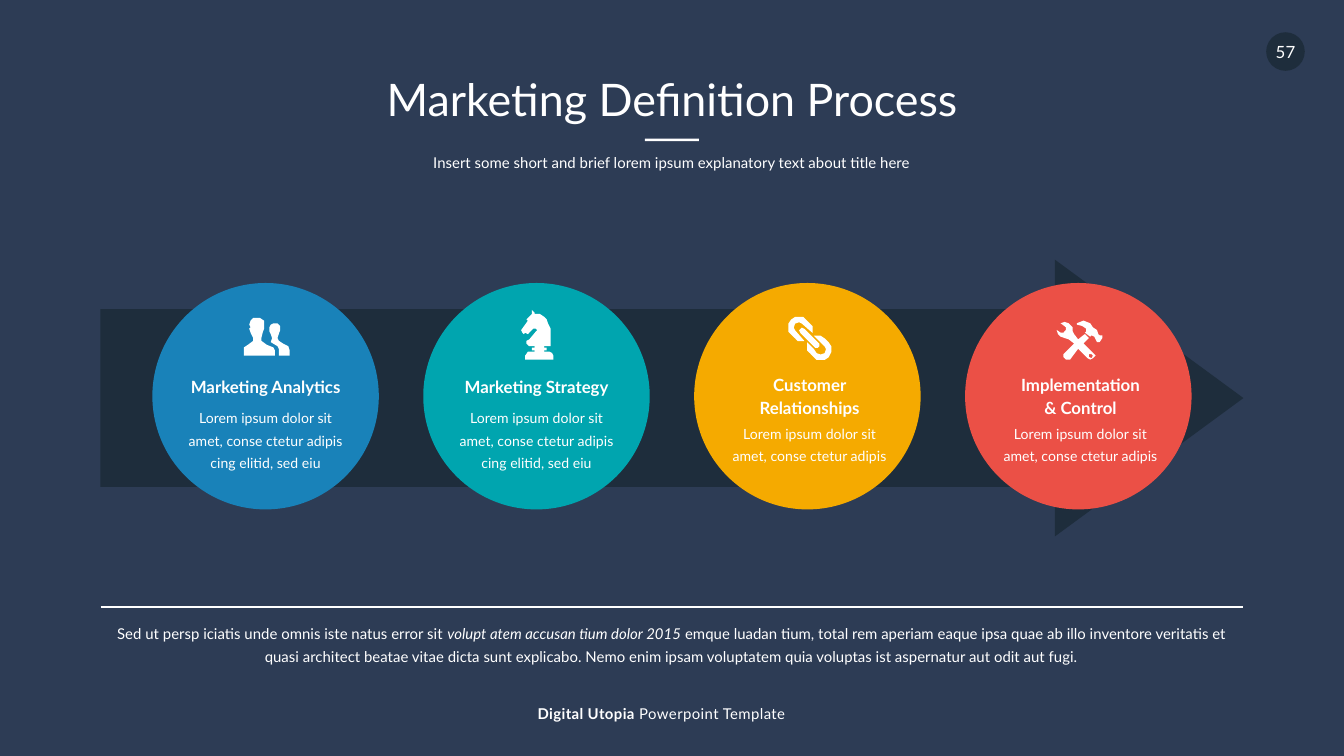
from lxml import etree
from pptx import Presentation
from pptx import util as u
from pptx.dml.color import RGBColor
from pptx.enum import shapes, text
from pptx.oxml.ns import qn

NAVY = RGBColor(0x2D, 0x3C, 0x55)
DARK = RGBColor(0x1E, 0x2D, 0x3C)
WHITE = RGBColor(0xFF, 0xFF, 0xFF)
BLUE = RGBColor(0x19, 0x82, 0xB9)
TEAL = RGBColor(0x00, 0xA5, 0xAF)
AMBER = RGBColor(0xF5, 0xAA, 0x00)
RED = RGBColor(0xEB, 0x50, 0x46)
FONT = "Lato"
UNIT = u.Cm(2.54) / 100  # icon grid step
KIND = shapes.MSO_SHAPE
LEFT, CENTER = text.PP_ALIGN.LEFT, text.PP_ALIGN.CENTER
TOP, MIDDLE = text.MSO_ANCHOR.TOP, text.MSO_ANCHOR.MIDDLE

# Outlines on the icon grid, one list of points for each contour
PEOPLE = [
    [(23, 28), (0, 28), (0, 22), (3, 20), (7, 17), (7, 15), (5, 11), (4, 8),
     (5, 7), (4, 5), (5, 2), (7, 0), (12, 0), (15, 2), (15, 5), (15, 8),
     (14, 11), (13, 15), (13, 17), (17, 20), (22, 22), (23, 24)],
    [(26, 28), (26, 23), (25, 21), (20, 18), (21, 15), (20, 12), (19, 10),
     (19, 7), (20, 5), (22, 4), (25, 4), (27, 6), (27, 9), (26, 12),
     (25, 15), (26, 17), (29, 19), (33, 21), (34, 24), (34, 28)],
]
KNIGHT = [
    [(0, 15), (5, 8), (4, 7), (7, 4), (8, 3), (8, 0), (10, 2), (10, 3),
     (14, 3), (17, 5), (19, 7), (20, 10), (22, 14), (22, 27), (17, 27),
     (17, 28), (19, 28), (19, 30), (17, 30), (17, 31), (21, 31), (23, 32),
     (24, 34), (24, 37), (3, 37), (3, 34), (5, 31), (10, 31), (10, 30),
     (8, 30), (8, 28), (10, 28), (10, 27), (6, 27), (4, 25), (4, 23),
     (6, 22), (11, 16), (12, 15), (11, 14), (9, 14), (5, 18), (3, 17),
     (2, 18), (1, 17)],
]
CHAIN = [
    [(0, 8), (0, 5), (2, 2), (5, 0), (8, 0), (11, 0), (13, 2), (16, 5),
     (18, 7), (18, 12), (10, 5), (8, 4), (5, 5), (4, 8), (5, 10), (12, 18),
     (10, 18), (7, 18), (5, 16), (2, 13), (0, 11)],
    [(8, 10), (9, 9), (10, 8), (12, 9), (23, 20), (23, 22), (22, 23),
     (20, 23), (9, 12)],
    [(14, 22), (14, 19), (19, 24), (21, 27), (24, 28), (27, 27), (28, 24),
     (27, 22), (19, 14), (21, 14), (24, 14), (27, 16), (30, 19), (32, 22),
     (32, 26), (30, 30), (27, 32), (24, 32), (21, 32), (19, 30), (16, 27),
     (14, 25)],
]
TOOLS = [
    [(27, 24), (29, 26), (27, 28), (25, 29), (23, 28), (16, 21), (10, 29),
     (7, 29), (5, 27), (5, 25), (13, 17), (9, 14), (6, 13), (3, 12), (1, 10),
     (0, 7), (3, 9), (5, 9), (7, 7), (7, 5), (3, 2), (6, 1), (9, 2), (12, 5),
     (12, 8), (13, 10), (16, 14), (21, 10), (24, 13), (20, 17)],
    [(34, 13), (32, 16), (30, 16), (29, 14), (28, 12), (26, 11), (25, 12),
     (21, 9), (22, 8), (22, 6), (19, 4), (15, 3), (15, 2), (20, 0), (25, 2),
     (27, 5), (30, 7), (31, 10), (32, 11), (34, 11)],
    [(26, 25), (24, 25), (24, 27), (26, 28), (27, 26)],
]

TRIO = "Lorem ipsum dolor sit amet, conse ctetur adipis cing elitid, sed eiu"
DUO = "Lorem ipsum dolor sit amet, conse ctetur adipis"
# Colour, icon, icon offset, heading lines, body, whether the heading fills two rows
STEPS = [
    (BLUE, PEOPLE, (1.73, 0.66), ["Marketing Analytics"], TRIO, False),
    (TEAL, KNIGHT, (1.85, 0.51), ["Marketing Strategy"], TRIO, False),
    (AMBER, CHAIN, (1.78, 0.64), ["Customer Relationships"], DUO, True),
    (RED, TOOLS, (1.73, 0.71), ["Implementation", "& Control"], DUO, True),
]


def cm(*vals):
    return [u.Cm(v) for v in vals]


def write(shape, paras, size=8, align=CENTER, anchor=TOP, lead=None, bold=False, track=0):
    """Fill a shape; each paragraph is a string or a list of (string, styles)."""
    frame = shape.text_frame
    frame.word_wrap = True
    frame.auto_size = text.MSO_AUTO_SIZE.NONE
    frame.vertical_anchor = anchor
    frame.margin_left = frame.margin_right = frame.margin_top = frame.margin_bottom = 0
    for i, runs in enumerate(paras):
        para = frame.add_paragraph() if i else frame.paragraphs[0]
        para.alignment = align
        if lead:
            para.line_spacing = u.Pt(lead)
        for words, style in [(runs, "")] if isinstance(runs, str) else runs:
            run = para.add_run()
            run.text = words
            font = run.font
            font.name, font.size = FONT, u.Pt(size)
            font.bold = bold or style == "bold"
            font.italic = style == "italic"
            font.color.rgb = WHITE
            if track:
                run._r.get_or_add_rPr().set("spc", str(track))


def label(host, box, paras, **fmt):
    write(host.add_textbox(*cm(*box)), paras, **fmt)


def paint(shape, color):
    shape.shadow.inherit = False
    shape.fill.solid()
    shape.fill.fore_color.rgb = color
    shape.line.fill.background()
    return shape


def solid(host, kind, box, color):
    return paint(host.add_shape(kind, *cm(*box)), color)


def icon(host, x, y, paths):
    first, *rest = paths
    pen = host.build_freeform(*first[0], scale=UNIT)
    pen.add_line_segments(first[1:], close=True)
    for path in rest:
        pen.move_to(*path[0])
        pen.add_line_segments(path[1:], close=True)
    paint(pen.convert_to_shape(*cm(x, y)), WHITE)


def header(slide, x, y, w):
    title = slide.shapes.title
    title.left, title.top, title.width, title.height = cm(x, y, w, 1.12)
    write(title, ["Marketing Definition Process"], size=24)
    solid(slide.shapes, KIND.RECTANGLE, (x + w / 2 - 0.51, y + 1.27, 1.02, 0.05), WHITE)
    label(slide.shapes, (x, y + 1.55, w, 0.43),
          ["Insert some short and brief lorem ipsum explanatory text about title here"])


def badge(slide, x, y, d):
    disc = solid(slide.shapes, KIND.OVAL, (x, y, d, d), DARK)
    write(disc, ["57"], size=9, anchor=MIDDLE)


def step(slide, x, y, d, color, paths, shift, head, body, tall):
    group = slide.shapes.add_group_shape().shapes
    solid(group, KIND.OVAL, (x, y, d, d), color)
    icon(group, x + shift[0], y + shift[1], paths)
    w = 3.18
    left = x + (d - w) / 2 + (0.04 if tall else 0)
    top, gap = (1.7, 0.89) if tall else (1.73, 0.56)
    label(group, (left, y + top, w, 0.86 if tall else 0.43), head, size=9, lead=12, bold=True)
    label(group, (left, y + top + gap, w, 0.86 if tall else 1.27), [body], size=7.5, lead=12)


def process(slide, x, y, w, h):
    arrow = solid(slide.shapes, KIND.RIGHT_ARROW, (x, y, w, h), DARK)
    arrow.adjustments[0], arrow.adjustments[1] = 0.643, 0.681
    for i, item in enumerate(STEPS):
        step(slide, x + 0.98 + i * 5.12, y + 0.44, 4.28, *item)


def summary(slide, x, y, w):
    group = slide.shapes.add_group_shape().shapes
    rule = group.add_connector(shapes.MSO_CONNECTOR.STRAIGHT, *cm(x, y, x + w, y))
    rule.line.color.rgb = WHITE
    rule.line.width = u.Pt(1)
    etree.SubElement(rule._element.spPr, qn("a:effectLst"))
    label(group, (x, y + 0.26, w, 0.86), [[
        ("Sed ut persp iciatis unde omnis iste natus error sit ", ""),
        ("volupt atem accusan tium dolor 2015 ", "italic"),
        ("emque luadan tium, total rem aperiam eaque ipsa quae ab illo inventore "
         "veritatis et quasi architect beatae vitae dicta sunt explicabo. Nemo enim "
         "ipsam voluptatem quia voluptas ist aspernatur aut odit aut fugi.", ""),
    ]], lead=12)


def footer(slide, x, y, w):
    label(slide.shapes, (x, y, w, 0.34),
          [[("Digital Utopia ", "bold"), ("Powerpoint Template", "")]], align=LEFT, track=20)


def main():
    deck = Presentation()
    deck.slide_width, deck.slide_height = cm(25.4, 14.29)
    slide = deck.slides.add_slide(deck.slide_layouts[5])
    slide.background.fill.solid()
    slide.background.fill.fore_color.rgb = NAVY
    side, wide = 1.9, 21.6
    badge(slide, 23.93, 0.61, 0.73)
    header(slide, side, 1.35, wide)
    process(slide, side, 4.91, wide, 5.23)
    summary(slide, side, 11.47, wide)
    footer(slide, 10.16, 13.31, 5.05)
    deck.save("out.pptx")


if __name__ == "__main__":
    main()
